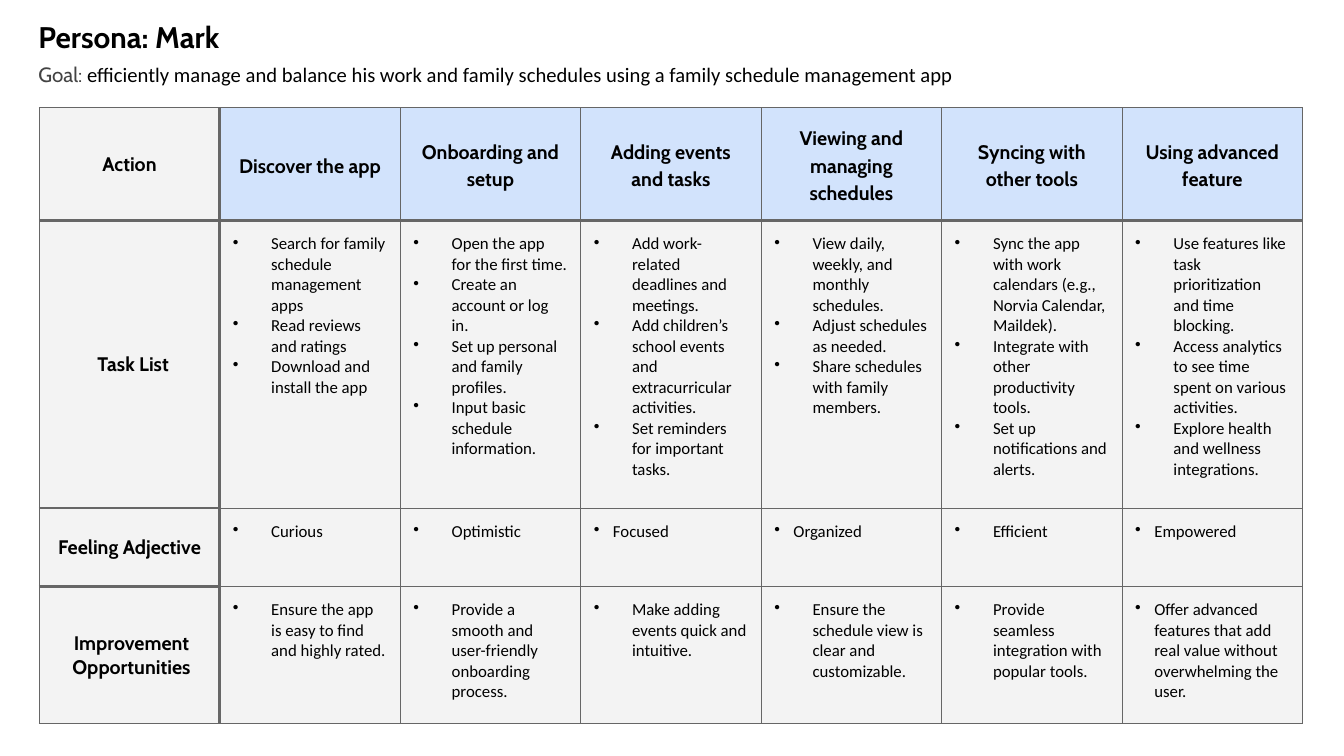
from lxml.etree import SubElement
from pptx import Presentation
from pptx.dml.color import RGBColor
from pptx.enum.text import MSO_ANCHOR, MSO_AUTO_SIZE, PP_ALIGN
from pptx.oxml import parse_xml
from pptx.oxml.ns import nsdecls, qn
from pptx.util import Inches, Pt

BLACK = RGBColor(0x00, 0x00, 0x00)
DARK_GRAY = RGBColor(0x43, 0x43, 0x43)
BORDER_GRAY = RGBColor(0x66, 0x66, 0x66)
LIGHT_GRAY = RGBColor(0xF3, 0xF3, 0xF3)
LIGHT_BLUE = RGBColor(0xD2, 0xE3, 0xFC)

HEADING_FONT = "Cabin"
BODY_FONT = "Calibri"
PADDING = 0.13
WIDE, NARROW = 0.38, 0.19
THIN, THICK = 0.75, 2.25

COLUMN_WIDTH = 1.79
ROW_HEIGHTS = [1.12, 2.85, 0.78, 1.36]

ACTIONS = [
    "Discover the app",
    "Onboarding and setup",
    "Adding events and tasks",
    "Viewing and managing schedules",
    "Syncing with other tools",
    "Using advanced feature",
]
TASKS = [
    ["Search for family schedule management apps", "Read reviews and ratings",
     "Download and install the app"],
    ["Open the app for the first time.", "Create an account or log in.",
     "Set up personal and family profiles.", "Input basic schedule information."],
    ["Add work-related deadlines and meetings.",
     "Add children’s school events and extracurricular activities.",
     "Set reminders for important tasks."],
    ["View daily, weekly, and monthly schedules.", "Adjust schedules as needed.",
     "Share schedules with family members."],
    ["Sync the app with work calendars (e.g., Norvia Calendar, Maildek).",
     "Integrate with other productivity tools.", "Set up notifications and alerts."],
    ["Use features like task prioritization and time blocking.",
     "Access analytics to see time spent on various activities.",
     "Explore health and wellness integrations."],
]
FEELINGS = [["Curious"], ["Optimistic"], ["Focused"], ["Organized"], ["Efficient"], ["Empowered"]]
IMPROVEMENTS = [
    ["Ensure the app is easy to find and highly rated."],
    ["Provide a smooth and user-friendly onboarding process."],
    ["Make adding events quick and intuitive."],
    ["Ensure the schedule view is clear and customizable."],
    ["Provide seamless integration with popular tools."],
    ["Offer advanced features that add real value without overwhelming the user."],
]
LABELS = [["Action"], ["Task List"], ["Feeling Adjective"], ["Improvement", "Opportunities"]]
NARROW_BULLETS = {(2, 3), (2, 4), (2, 6), (3, 6)}


def write(paragraph, text, font=BODY_FONT, size=12, color=BLACK, bold=False,
          align=PP_ALIGN.LEFT, spacing=None, margin=0, indent=0, bullet=None):
    paragraph.alignment = align
    if spacing:
        paragraph.line_spacing = spacing
    properties = paragraph._p.get_or_add_pPr()
    if margin:
        properties.set("marL", str(Inches(margin)))
        properties.set("indent", str(Inches(indent)))
    if bullet:
        SubElement(properties, qn("a:buChar")).set("char", bullet)
    span = paragraph.add_run()
    span.text = text
    span.font.name = font
    span.font.size = Pt(size)
    span.font.bold = bold
    span.font.color.rgb = color


def write_lines(frame, lines, **style):
    for number, line in enumerate(lines):
        paragraph = frame.add_paragraph() if number else frame.paragraphs[0]
        write(paragraph, line, **style)


def set_padding(target, left=PADDING):
    target.margin_left = Inches(left)
    target.margin_top = target.margin_right = target.margin_bottom = Inches(PADDING)


def prepare_frame(box):
    frame = box.text_frame
    frame.word_wrap = True
    frame.auto_size = MSO_AUTO_SIZE.NONE
    frame.vertical_anchor = MSO_ANCHOR.TOP
    set_padding(frame)
    return frame.paragraphs[0]


def add_title(page):
    title = page.shapes.title
    title.left, title.top = Inches(0.25), Inches(0.06)
    title.width, title.height = Inches(2.6), Inches(0.59)
    write(prepare_frame(title), "Persona: Mark", font=HEADING_FONT, size=21.3, bold=True)


def add_goal(page):
    box = page.shapes.add_textbox(Inches(0.25), Inches(0.48), Inches(12.38), Inches(0.39))
    paragraph = prepare_frame(box)
    write(paragraph, "Goal: ", font=HEADING_FONT, size=14.7, color=DARK_GRAY)
    write(paragraph, "efficiently manage and balance his work and family schedules "
          "using a family schedule management app", size=14.7)


def set_borders(cell, row, column):
    label = column == 0
    thick_sides = {
        "lnL": column == 1,
        "lnR": label,
        "lnT": row == 1 or (label and row > 0),
        "lnB": row == 0 or (label and row < len(ROW_HEIGHTS) - 1),
    }
    properties = cell._tc.get_or_add_tcPr()
    for position, (side, thick) in enumerate(thick_sides.items()):
        width = Pt(THICK if thick else THIN)
        properties.insert(position, parse_xml(
            f'<a:{side} {nsdecls("a")} w="{width}"><a:solidFill>'
            f'<a:srgbClr val="{BORDER_GRAY}"/></a:solidFill></a:{side}>'))


def fill_cell(cell, row, column, lines):
    header = row == 0 and column > 0
    heading = row == 0 or column == 0
    set_padding(cell, 0.17 if lines == LABELS[3] else PADDING)
    cell.fill.solid()
    cell.fill.fore_color.rgb = LIGHT_BLUE if header else LIGHT_GRAY
    set_borders(cell, row, column)
    if heading:
        cell.vertical_anchor = MSO_ANCHOR.MIDDLE
        style = dict(font=HEADING_FONT, size=14, bold=True, align=PP_ALIGN.CENTER)
        if header:
            style["spacing"] = 1.15
        if lines == LABELS[1]:
            style.update(margin=NARROW, indent=-0.12)
    else:
        cell.vertical_anchor = MSO_ANCHOR.TOP
        margin = NARROW if (row, column) in NARROW_BULLETS else WIDE
        style = dict(margin=margin, indent=-margin, bullet="•")
    write_lines(cell.text_frame, lines, **style)


def add_journey_table(page):
    contents = [[[action] for action in ACTIONS], TASKS, FEELINGS, IMPROVEMENTS]
    rows = [[label, *cells] for label, cells in zip(LABELS, contents)]
    count = len(rows[0])
    table = page.shapes.add_table(
        len(rows), count, Inches(0.39), Inches(1.07),
        Inches(COLUMN_WIDTH * count), Inches(sum(ROW_HEIGHTS))).table
    for column in table.columns:
        column.width = Inches(COLUMN_WIDTH)
    for row, height in enumerate(ROW_HEIGHTS):
        table.rows[row].height = Inches(height)
        for column, lines in enumerate(rows[row]):
            fill_cell(table.cell(row, column), row, column, lines)


def main():
    deck = Presentation()
    deck.slide_width, deck.slide_height = Inches(13.33), Inches(7.5)
    page = deck.slides.add_slide(deck.slide_layouts[5])
    add_title(page)
    add_goal(page)
    add_journey_table(page)
    deck.save("out.pptx")


if __name__ == "__main__":
    main()
